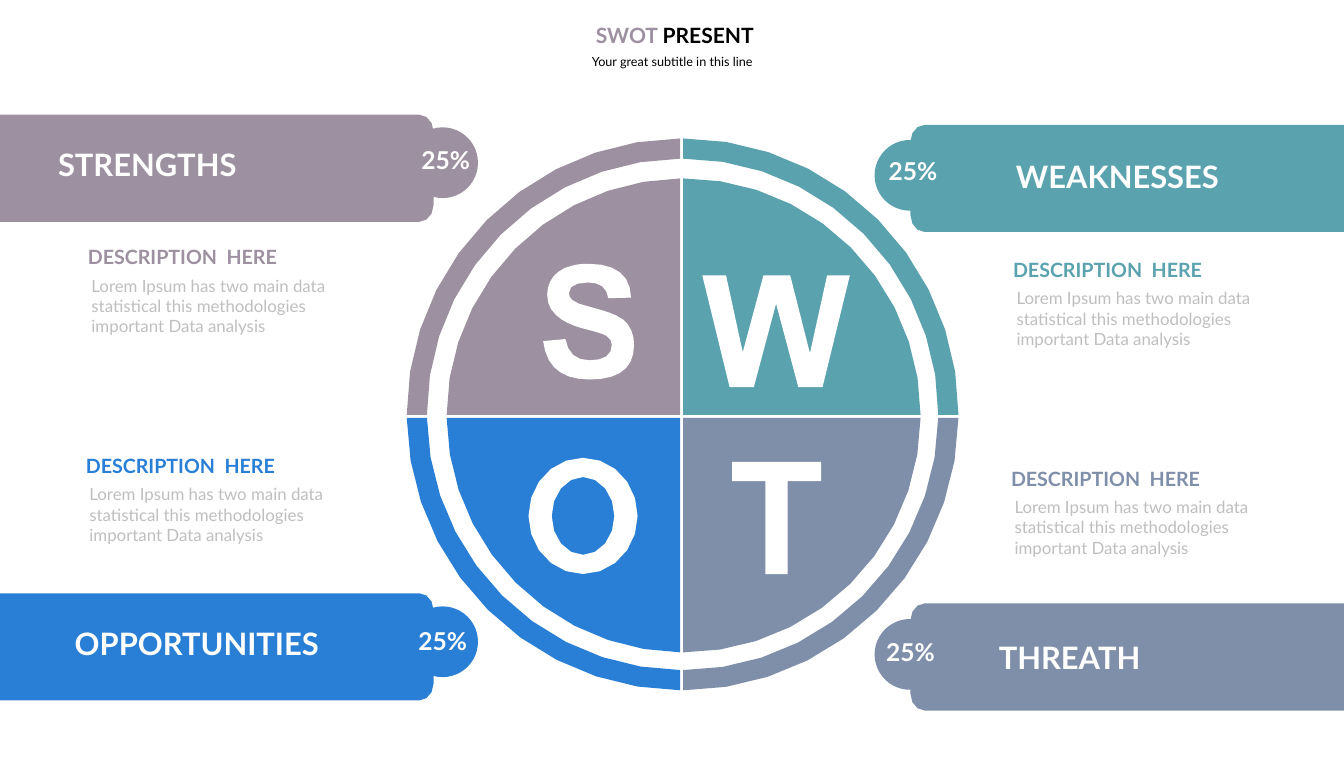
from dataclasses import dataclass
from math import acos, asin, cos, dist, pi, sin

from pptx import Presentation
from pptx.dml.color import RGBColor
from pptx.enum.shapes import MSO_SHAPE
from pptx.enum.text import MSO_AUTO_SIZE, PP_ALIGN
from pptx.util import Inches, Pt

CENTER, LEFT = PP_ALIGN.CENTER, PP_ALIGN.LEFT
ELLIPSE = MSO_SHAPE.OVAL
GROW = MSO_AUTO_SIZE.SHAPE_TO_FIT_TEXT

COLORS = {
    "mauve": "9D90A0",
    "teal": "5AA2AE",
    "blue": "297FD5",
    "slate": "7F8FA9",
    "white": "FFFFFF",
    "black": "000000",
    "gray": "BFBFBF",
}
FONT = "Lato"
PAGE_WIDTH, PAGE_HEIGHT = 26.6, 15
BAR_LENGTH, BAR_HEIGHT = 8.58, 2.12
KNOB_SIZE = 1.4
CROSS, HALF_GAP = (13.49, 8.24), 0.03
RING_CENTER, RING_OUTER, RING_INNER = (13.51, 8.2), 5.46, 5.06
DISC_CENTER, DISC_RADIUS = (13.53, 8.22), 4.69
DESCRIPTION = ("Lorem Ipsum has two main data statistical this "
               "methodologies important Data analysis")

Point = tuple[float, float]


@dataclass(frozen=True)
class Quadrant:
    title: str
    color: str
    side: int       # -1 left, 1 right
    half: int       # -1 upper, 1 lower
    bar_top: float
    knob: Point
    title_at: Point
    percent_at: Point
    heading_at: Point


QUADRANTS = [
    Quadrant("STRENGTHS", "mauve", -1, -1, 2.27, (8.06, 2.52),
             (1.05, 2.83), (8.17, 2.81), (1.54, 4.75)),
    Quadrant("WEAKNESSES", "teal", 1, -1, 2.47, (17.31, 2.77),
             (20.01, 3.08), (17.42, 3.04), (19.85, 5)),
    Quadrant("OPPORTUNITIES", "blue", -1, 1, 11.74, (8.06, 12),
             (1.38, 12.32), (8.11, 12.33), (1.5, 8.88)),
    Quadrant("THREATH", "slate", 1, 1, 11.94, (17.31, 12.25),
             (19.67, 12.58), (17.37, 12.56), (19.81, 9.13)),
]

# Each row is a cubic curve (two controls and an end) or a straight end point.
S_START = (11.64, 5.22)
S_SEGMENTS = [
    (12.19, 5.22, 12.48, 5.44, 12.49, 5.89), (12.04, 5.9),
    (12.01, 5.69, 11.88, 5.59, 11.64, 5.59),
    (11.39, 5.59, 11.26, 5.66, 11.26, 5.8),
    (11.26, 5.85, 11.28, 5.9, 11.33, 5.94),
    (11.46, 6.01), (11.74, 6.09),
    (11.93, 6.14, 12.08, 6.19, 12.19, 6.24),
    (12.31, 6.3, 12.38, 6.35, 12.42, 6.41),
    (12.51, 6.53, 12.55, 6.67, 12.55, 6.82),
    (12.55, 7.28, 12.26, 7.51, 11.67, 7.51),
    (11.12, 7.51, 10.81, 7.26, 10.75, 6.75), (11.19, 6.71),
    (11.24, 6.99, 11.4, 7.13, 11.67, 7.13),
    (11.96, 7.13, 12.11, 7.03, 12.11, 6.82),
    (12.08, 6.72), (12.01, 6.65),
    (11.95, 6.61, 11.79, 6.56, 11.54, 6.5),
    (11.31, 6.44, 11.13, 6.35, 11.01, 6.24),
    (10.89, 6.13, 10.83, 6, 10.83, 5.83),
    (10.83, 5.73, 10.85, 5.65, 10.89, 5.57),
    (10.93, 5.49, 10.98, 5.43, 11.05, 5.38),
    (11.13, 5.32, 11.21, 5.28, 11.31, 5.26),
    (11.41, 5.23, 11.52, 5.22, 11.64, 5.22),
]
W_POINTS = [(13.9, 5.45), (14.37, 5.45), (14.7, 6.97), (15.11, 5.45),
            (15.64, 5.45), (16.03, 6.99), (16.37, 5.45), (16.82, 5.45),
            (16.28, 7.66), (15.8, 7.66), (15.36, 6.01), (14.92, 7.66),
            (14.44, 7.66)]
T_POINTS = [(14.49, 9.14), (16.25, 9.14), (16.25, 9.52), (15.59, 9.52),
            (15.59, 11.36), (15.15, 11.36), (15.15, 9.52), (14.49, 9.52)]


def rgb(color: str) -> RGBColor:
    return RGBColor.from_string(COLORS[color])


def arc(center: Point, rx: float, ry: float, start: float, end: float,
        steps: int) -> list[Point]:
    angles = [start + (end - start) * i / steps for i in range(steps + 1)]
    return [(center[0] + rx * cos(a), center[1] + ry * sin(a)) for a in angles]


def trace(start: Point, segments: list[tuple]) -> list[Point]:
    """Flatten lines and cubic curves, with more points on longer curves."""
    points = [start]
    for segment in segments:
        if len(segment) == 2:
            points.append(segment)
            continue
        x0, y0 = points[-1]
        x1, y1, x2, y2, x3, y3 = segment
        steps = 1 + round(5 * dist((x0, y0), (x3, y3)))
        for i in range(1, steps + 1):
            t = i / steps
            a, b, c, d = (1-t)**3, 3*t*(1-t)**2, 3*t*t*(1-t), t**3
            points.append((a*x0 + b*x1 + c*x2 + d*x3,
                           a*y0 + b*y1 + c*y2 + d*y3))
    return points


def paint(shape, color: str) -> None:
    shape.shadow.inherit = False
    shape.fill.solid()
    shape.fill.fore_color.rgb = rgb(color)
    shape.line.fill.background()


def add_outline(page, color: str, *contours: list[Point]) -> None:
    builder = None
    for contour in contours:
        points = [(Inches(x), Inches(y)) for x, y in contour]
        if builder is None:
            builder = page.shapes.build_freeform(*points[0], scale=1.0)
        else:
            builder.move_to(*points[0])
        builder.add_line_segments(points[1:], close=True)
    paint(builder.convert_to_shape(), color)


def add_text(page, at: Point, size: Point, spans: list[tuple[str, str]],
             points: int, bold: bool = True, align=LEFT,
             inset: float = 0.1) -> None:
    """Add one line of (text, color) spans; side inset is twice the top one."""
    box = page.shapes.add_textbox(*map(Inches, at + size))
    frame = box.text_frame
    frame.word_wrap, frame.auto_size = True, GROW
    frame.margin_left = frame.margin_right = Inches(inset)
    frame.margin_top = frame.margin_bottom = Inches(inset / 2)
    para = frame.paragraphs[0]
    para.alignment = align
    for text, color in spans:
        span = para.add_run()
        span.text = text
        span.font.name, span.font.size, span.font.bold = FONT, Pt(points), bold
        span.font.color.rgb = rgb(color)


def quarter_arc(center: Point, radius: float, item: Quadrant) -> list[Point]:
    """Arc of one quadrant, trimmed where it meets the white cross."""
    u = (CROSS[0] - center[0]) * item.side + HALF_GAP
    v = (CROSS[1] - center[1]) * item.half + HALF_GAP
    return arc(center, radius * item.side, radius * item.half,
               asin(v / radius), acos(u / radius), 10)


def add_wheel_quarter(page, item: Quadrant) -> None:
    outer = quarter_arc(RING_CENTER, RING_OUTER, item)
    inner = quarter_arc(RING_CENTER, RING_INNER, item)
    add_outline(page, item.color, outer + inner[::-1])
    corner = (CROSS[0] + item.side * HALF_GAP, CROSS[1] + item.half * HALF_GAP)
    add_outline(page, item.color,
                quarter_arc(DISC_CENTER, DISC_RADIUS, item) + [corner])


def add_bar(page, item: Quadrant) -> None:
    rx, ry = 0.28, 0.33
    top, bottom = item.bar_top, item.bar_top + BAR_HEIGHT
    edge = BAR_LENGTH - rx
    points = ([(0, top)] + arc((edge, top + ry), rx, ry, -pi / 2, 0, 3)
              + arc((edge, bottom - ry), rx, ry, 0, pi / 2, 3) + [(0, bottom)])
    if item.side > 0:
        points = [(PAGE_WIDTH - x, y) for x, y in points]
    add_outline(page, item.color, points)
    size = Inches(KNOB_SIZE)
    knob = page.shapes.add_shape(ELLIPSE, *map(Inches, item.knob), size, size)
    paint(knob, item.color)


def add_labels(page, item: Quadrant) -> None:
    x, y = item.heading_at
    add_text(page, item.title_at, (5.52, 0.84), [(item.title, "white")], 44)
    add_text(page, (x + 0.03, y + 0.58), (5.96, 1.45),
             [(DESCRIPTION, "gray")], 24, bold=False, inset=0.24)
    add_text(page, item.heading_at, (4.61, 0.67),
             [("DESCRIPTION  HERE", item.color)], 28, inset=0.2)
    add_text(page, item.percent_at, (1.3, 0.69), [("25%", "white")], 35,
             align=CENTER)


def main() -> None:
    deck = Presentation()
    deck.slide_width, deck.slide_height = Inches(PAGE_WIDTH), Inches(PAGE_HEIGHT)
    page = deck.slides.add_slide(deck.slide_layouts[6])
    for item in QUADRANTS:
        add_wheel_quarter(page, item)
    add_outline(page, "white", trace(S_START, S_SEGMENTS))
    add_outline(page, "white", W_POINTS)
    o_center = (11.54, 10.21)
    add_outline(page, "white", arc(o_center, 1.08, 1.15, 0, 2 * pi, 20),
                arc(o_center, 0.62, 0.77, 2 * pi, 0, 16))
    add_outline(page, "white", T_POINTS)
    add_text(page, (9.22, 0.95), (8.17, 0.55),
             [("Your great subtitle in this line", "black")], 18, bold=False,
             align=CENTER, inset=0.24)
    add_text(page, (8.3, 0.34), (10.11, 0.71),
             [("SWOT ", "mauve"), ("PRESENT", "black")], 30, align=CENTER,
             inset=0.2)
    for item in QUADRANTS:
        add_bar(page, item)
        add_labels(page, item)
    deck.save("out.pptx")


if __name__ == "__main__":
    main()
